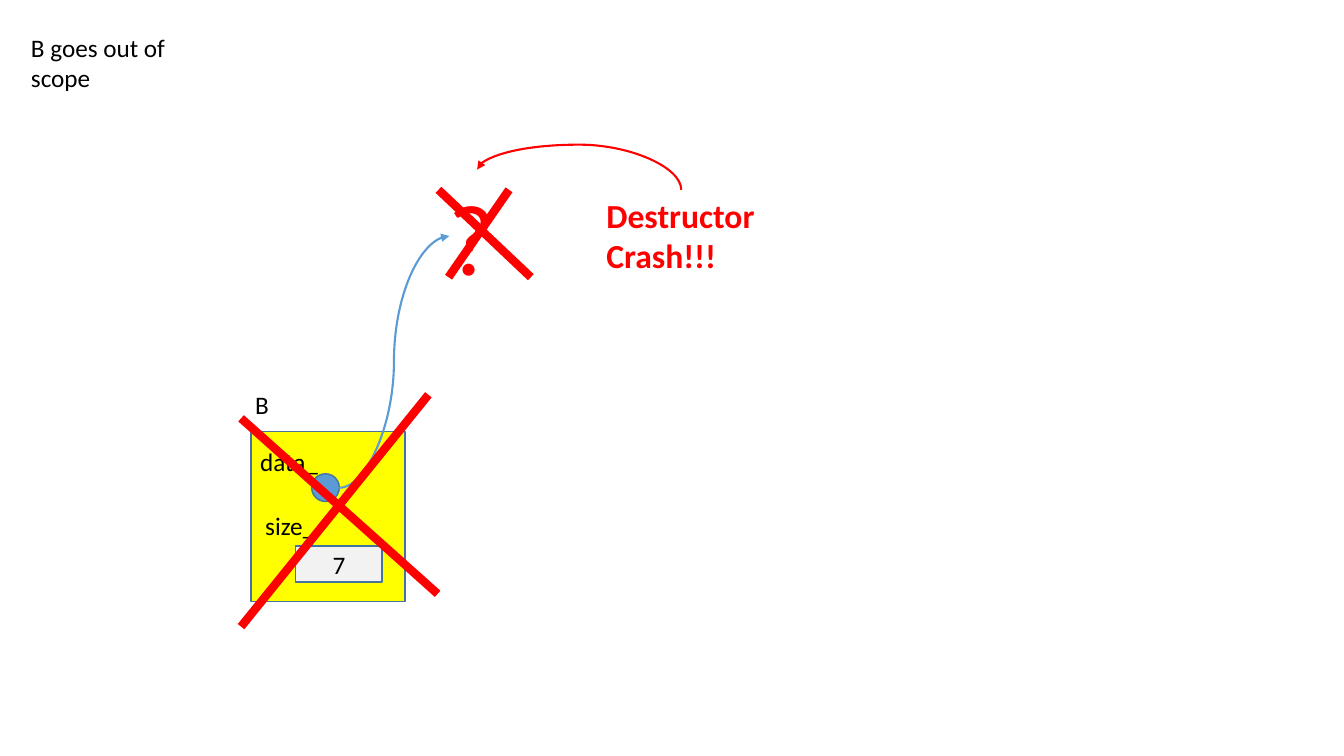
"""Build a slide showing a destructor crash after B goes out of scope."""
import dataclasses

import pptx
import pptx.dml.color
import pptx.enum.shapes
import pptx.enum.text
import pptx.oxml
import pptx.oxml.ns
import pptx.util

SHAPES = pptx.enum.shapes.MSO_SHAPE
CONNECTORS = pptx.enum.shapes.MSO_CONNECTOR


@dataclasses.dataclass(frozen=True)
class Theme:
    """Hold the colours, type sizes and line widths."""
    font: str = "Calibri"
    ink: str = "000000"
    alarm: str = "FF0000"
    object_fill: str = "FFFF00"
    value_fill: str = "F2F2F2"
    pointer: str = "5B9BD5"
    outline: str = "43739E"
    body: int = 18
    warning: int = 24
    mystery: int = 72
    thin: float = 1
    arrow: float = 1.5
    cross: float = 6


class Board:
    """Draw elements on a slide divided into 160 columns and 90 rows."""

    def __init__(self, deck, theme):
        """Add a blank slide and measure its grid."""
        self.slide = deck.slides.add_slide(deck.slide_layouts[6])
        self.theme = theme
        self.column = deck.slide_width / 160
        self.row = deck.slide_height / 90

    def place(self, columns, rows):
        """Convert a grid position or size to slide lengths."""
        return round(columns * self.column), round(rows * self.row)

    def add_lines(self, frame, lines, size, colour, bold=False):
        """Add the lines as runs of one paragraph."""
        frame.word_wrap = True
        paragraph = frame.paragraphs[0]
        for index, line in enumerate(lines):
            if index:
                paragraph.add_line_break()
            run = paragraph.add_run()
            run.text = line
            run.font.name = self.theme.font
            run.font.size = pptx.util.Pt(size)
            run.font.bold = bold
            run.font.color.rgb = pptx.dml.color.RGBColor.from_string(colour)
        return paragraph

    def label(self, corner, size, lines, points=None, colour=None, bold=False):
        """Add a text box."""
        box = self.slide.shapes.add_textbox(*self.place(*corner), *self.place(*size))
        self.add_lines(box.text_frame, lines, points or self.theme.body,
                       colour or self.theme.ink, bold)
        box.text_frame.auto_size = pptx.enum.text.MSO_AUTO_SIZE.SHAPE_TO_FIT_TEXT

    def block(self, kind, corner, size, fill, value=None):
        """Add an outlined shape, with a centred value if given."""
        shape = self.slide.shapes.add_shape(kind, *self.place(*corner), *self.place(*size))
        shape.shadow.inherit = False
        shape.fill.solid()
        shape.fill.fore_color.rgb = pptx.dml.color.RGBColor.from_string(fill)
        self.stroke(shape.line, self.theme.outline, self.theme.thin)
        if value:
            paragraph = self.add_lines(shape.text_frame, [value], self.theme.body, self.theme.ink)
            paragraph.alignment = pptx.enum.text.PP_ALIGN.CENTER
            shape.text_frame.vertical_anchor = pptx.enum.text.MSO_ANCHOR.MIDDLE

    def stroke(self, line, colour, width):
        """Set the colour and width of a line."""
        line.color.rgb = pptx.dml.color.RGBColor.from_string(colour)
        line.width = pptx.util.Pt(width)

    def connect(self, kind, start, end, colour, width):
        """Add a connector between two slide points."""
        connector = self.slide.shapes.add_connector(kind, *start, *end)
        self.stroke(connector.line, colour, width)
        connector.element.spPr.append(
            pptx.oxml.parse_xml(f"<a:effectLst {pptx.oxml.ns.nsdecls('a')}/>"))
        return connector

    def cross_out(self, *strokes):
        """Draw the thick strokes of a cross."""
        for start, end in strokes:
            self.connect(CONNECTORS.STRAIGHT, self.place(*start), self.place(*end),
                         self.theme.alarm, self.theme.cross)

    def curve(self, start, end, colour, bend=0.5, upright=False):
        """Draw a curved arrow, leaving vertically if upright."""
        ends = [self.place(*start), self.place(*end)]
        if upright:
            middle_x, middle_y = (sum(axis) // 2 for axis in zip(*ends))
            ends = [(middle_x + middle_y - y, middle_y + x - middle_x) for x, y in ends]
        connector = self.connect(CONNECTORS.CURVE, *ends, colour, self.theme.arrow)
        properties = connector.element.spPr
        if upright:
            properties.find(pptx.oxml.ns.qn("a:xfrm")).set("rot", str(270 * 60000))
        guides = properties.find(pptx.oxml.ns.qn("a:prstGeom")).get_or_add_avLst()
        guides.append(pptx.oxml.parse_xml(
            f'<a:gd {pptx.oxml.ns.nsdecls("a")} name="adj1" fmla="val {round(bend * 100000)}"/>'))
        properties.find(pptx.oxml.ns.qn("a:ln")).append(pptx.oxml.parse_xml(
            f'<a:tailEnd {pptx.oxml.ns.nsdecls("a")} type="triangle"/>'))


def main():
    """Build and save the slide."""
    deck = pptx.Presentation()
    deck.slide_width = pptx.util.Inches(13.33)
    deck.slide_height = pptx.util.Inches(7.5)
    theme = Theme()
    board = Board(deck, theme)

    board.block(SHAPES.RECTANGLE, (29.9, 51.4), (18.3, 20.2), theme.object_fill)
    board.block(SHAPES.OVAL, (37.1, 56.4), (3.3, 3.3), theme.pointer)
    board.label((29.8, 52.6), (10.7, 4.8), ["data_"])
    board.block(SHAPES.RECTANGLE, (35.2, 65), (10.3, 4.3), theme.value_fill, "7")
    board.label((30.4, 60.2), (10.7, 4.8), ["size_"])
    board.label((29.2, 45.8), (6.1, 4.8), ["B"])

    board.curve((40.3, 58.1), (53.5, 28.1), theme.pointer)
    board.label((52.2, 20.2), (9.1, 15.7), ["?"], theme.mystery, theme.alarm)
    board.label((2.5, 3.2), (23.3, 8.5), ["B goes out of scope"])
    board.cross_out(((28.7, 49.8), (52.1, 70.7)), ((28.7, 74.6), (51, 47)))
    board.cross_out(((52.2, 22.6), (63.2, 33)), ((53.4, 33), (60.6, 22.6)))

    board.label((71, 22.6), (20.2, 10.9), ["Destructor", "Crash!!!"],
                theme.warning, theme.alarm, bold=True)
    board.curve((81.1, 22.6), (56.8, 20.2), theme.alarm, bend=2.24, upright=True)
    deck.save("out.pptx")


main()
